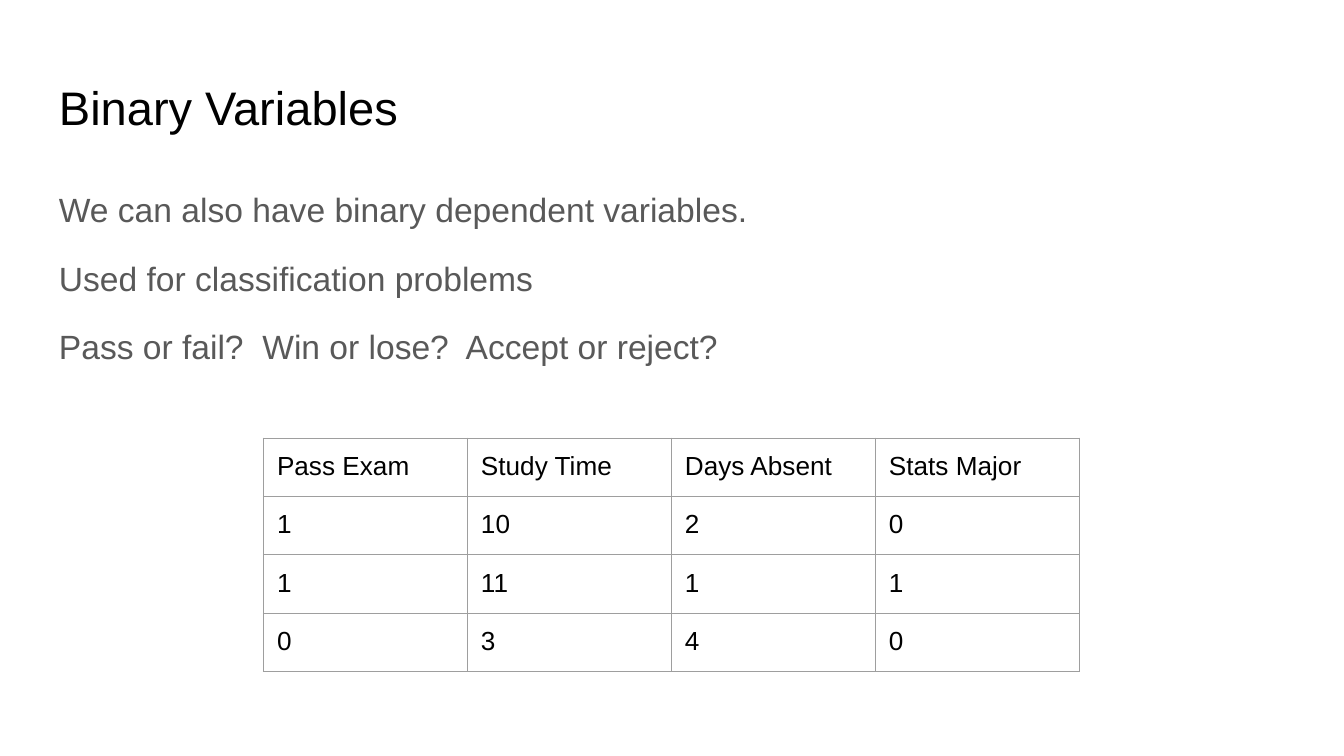
from lxml.etree import SubElement
from pptx import Presentation
from pptx.dml.color import RGBColor
from pptx.enum.text import MSO_ANCHOR
from pptx.oxml.ns import qn
from pptx.util import Pt

FONT = "Arial"
PAD = Pt(7.2)
HEX = {"ink": "000000", "body": "595959", "rule": "9E9E9E", "page": "FFFFFF"}

LINES = [
    "We can also have binary dependent variables.",
    "Used for classification problems",
    "Pass or fail?  Win or lose?  Accept or reject?",
]
ROWS = [
    ["Pass Exam", "Study Time", "Days Absent", "Stats Major"],
    ["1", "10", "2", "0"],
    ["1", "11", "1", "1"],
    ["0", "3", "4", "0"],
]


def add_run(para, text, size, color):
    run = para.add_run()
    run.text = text
    run.font.name = FONT
    run.font.size = Pt(size)
    run.font.color.rgb = RGBColor.from_string(HEX[color])


def pad(box):
    box.margin_left = box.margin_right = PAD
    box.margin_top = box.margin_bottom = PAD


def add_text(slide, top, height, lines, size, color, space=1.0, gap=0):
    shape = slide.shapes.add_textbox(Pt(24.5), Pt(top), Pt(671), Pt(height))
    frame = shape.text_frame
    frame.word_wrap = True
    pad(frame)
    for i, line in enumerate(lines):
        para = frame.add_paragraph() if i else frame.paragraphs[0]
        para.line_spacing = space
        para.space_before = Pt(gap if i else 0)
        add_run(para, line, size, color)


def add_rules(cell):
    # Borders come before the fill in the cell properties
    props = cell._tc.get_or_add_tcPr()
    for side in ("lnL", "lnR", "lnT", "lnB"):
        line = SubElement(props, qn(f"a:{side}"), w=str(Pt(0.75)))
        fill = SubElement(line, qn("a:solidFill"))
        SubElement(fill, qn("a:srgbClr"), val=HEX["rule"])


def add_grid(slide, left, top, wide, high, rows):
    count = len(rows[0])
    table = slide.shapes.add_table(
        len(rows), count, Pt(left), Pt(top),
        Pt(wide * count), Pt(high * len(rows))).table
    table.first_row = table.horz_banding = False
    for col in table.columns:
        col.width = Pt(wide)
    for r, row in enumerate(rows):
        table.rows[r].height = Pt(high)
        for c, text in enumerate(row):
            cell = table.cell(r, c)
            pad(cell)
            cell.vertical_anchor = MSO_ANCHOR.TOP
            add_rules(cell)
            cell.fill.background()
            add_run(cell.text_frame.paragraphs[0], text, 14, "ink")


def main():
    deck = Presentation()
    deck.slide_width, deck.slide_height = Pt(720), Pt(405)
    slide = deck.slides.add_slide(deck.slide_layouts[6])
    fill = slide.background.fill
    fill.solid()
    fill.fore_color.rgb = RGBColor.from_string(HEX["page"])

    # Title and body
    add_text(slide, 35, 45, ["Binary Variables"], 25.2, "ink")
    add_text(slide, 90.7, 269, LINES, 18, "body", space=1.15, gap=12)

    # Exam data
    add_grid(slide, 141.2, 234.8, 109.3, 30.2, ROWS)

    deck.save("out.pptx")


if __name__ == "__main__":
    main()
